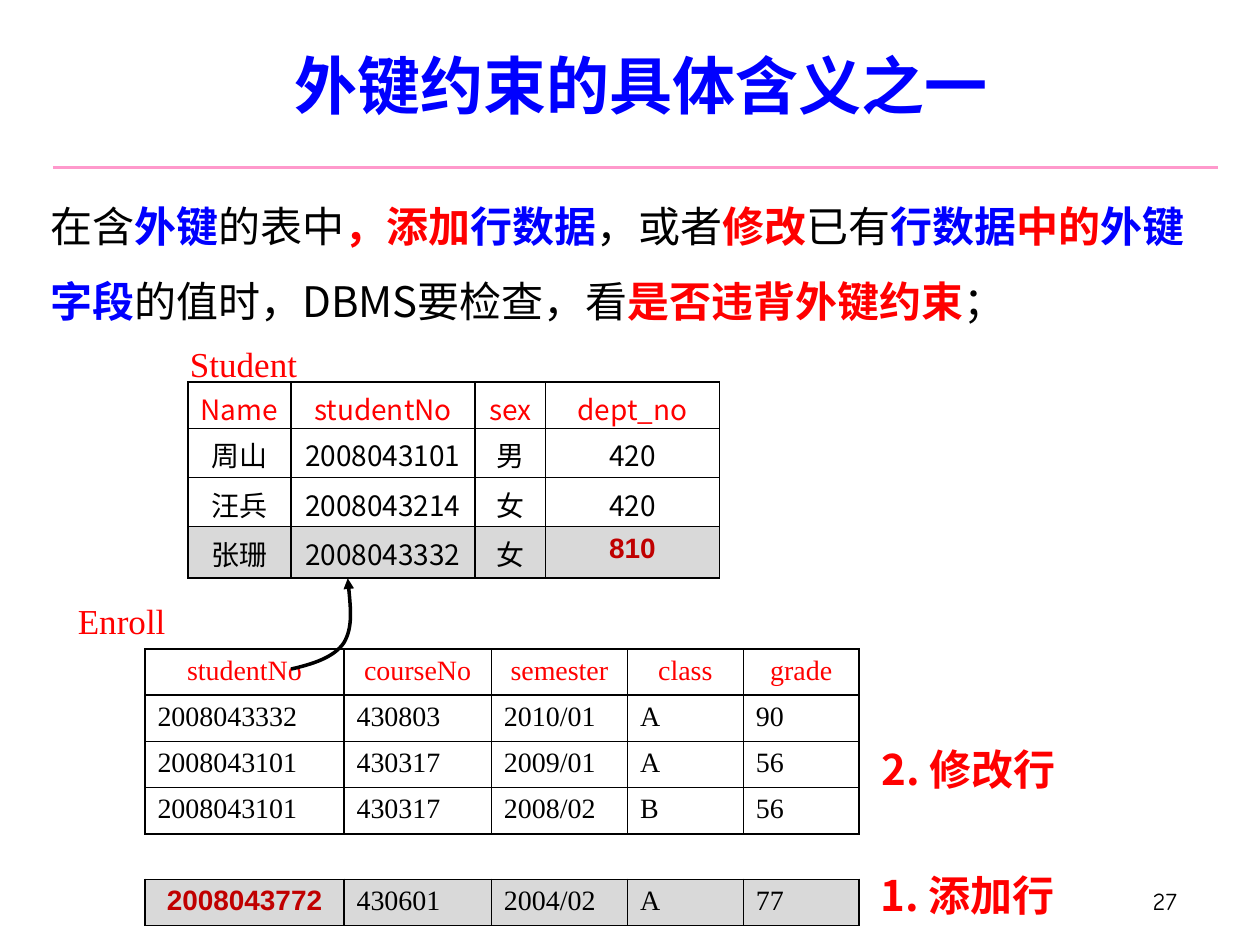
from lxml import etree
from pptx import Presentation
from pptx import util as u
from pptx.dml.color import RGBColor
from pptx.enum import shapes, text
from pptx.oxml.ns import qn

COLORS = {
    "blue": "0000FF", "red": "FF0000", "dark red": "C00000",
    "black": "000000", "pink": "FF99CC", "gray": "D9D9D9",
}
SANS, SERIF, BOLD_SANS = "Noto Sans CJK SC", "Times New Roman", "Arial"
LEFT, CENTER, RIGHT = text.PP_ALIGN.LEFT, text.PP_ALIGN.CENTER, text.PP_ALIGN.RIGHT
COLUMNS, ROWS = 100, 75
UNIT = u.Inches(0.1)  # one grid column or row
ENROLL_LEFT, ENROLL_ROW = 11.5, 3.67
ENROLL_COLUMNS = [15.8, 11.7, 10.8, 9.2, 9.2]

STUDENT = [
    ["Name", "studentNo", "sex", "dept_no"],
    ["周山", "2008043101", "男", "420"],
    ["汪兵", "2008043214", "女", "420"],
    ["张珊", "2008043332", "女", "810"],
]
ENROLL = [
    ["studentNo", "courseNo", "semester", "class", "grade"],
    ["2008043332", "430803", "2010/01", "A", "90"],
    ["2008043101", "430317", "2009/01", "A", "56"],
    ["2008043101", "430317", "2008/02", "B", "56"],
]
NEW_ROW = [["2008043772", "430601", "2004/02", "A", "77"]]
EXPLANATION = [
    ("在含", "black"), ("外键", "blue"), ("的表中", "black"),
    ("，添加", "red"), ("行数据", "blue"), ("，或者", "black"),
    ("修改", "red"), ("已有", "black"), ("行数据", "blue"),
    ("中的", "red"), ("外键字段", "blue"),
    ("的值时，DBMS要检查，看", "black"),
    ("是否违背外键约束", "red"), ("；", "black"),
]


def grid(*units):
    return [round(unit * UNIT) for unit in units]


def rgb(name):
    return RGBColor.from_string(COLORS[name])


def style_font(font, size, name, color, bold=False):
    font.size, font.name, font.bold = u.Pt(size), name, bold
    font.color.rgb = rgb(color)


def set_east_asian_font(paragraph, name):
    for tag in ("a:defRPr", "a:rPr"):
        for properties in paragraph._p.iter(qn(tag)):
            etree.SubElement(properties, qn("a:ea"), typeface=name)


def add_text(slide, box, words, size, font, color, bold=False,
             align=LEFT, anchor=text.MSO_ANCHOR.TOP, spacing=None):
    """Add a text box; words is a string or a list of (string, color) runs."""
    frame = slide.shapes.add_textbox(*grid(*box)).text_frame
    frame.word_wrap, frame.vertical_anchor = True, anchor
    paragraph = frame.paragraphs[0]
    paragraph.alignment = align
    if spacing:
        paragraph.line_spacing = spacing
        paragraph.space_after = u.Pt(6)
    if isinstance(words, str):
        paragraph.text = words
        style_font(paragraph.font, size, font, color, bold)
    else:
        for string, run_color in words:
            run = paragraph.add_run()
            run.text = string
            style_font(run.font, size, font, run_color, run_color != "black")
    set_east_asian_font(paragraph, font)


def add_borders(cell):
    properties = cell._tc.get_or_add_tcPr()
    for side in ("a:lnL", "a:lnR", "a:lnT", "a:lnB"):
        line = etree.SubElement(properties, qn(side), w=str(u.Pt(1)))
        fill = etree.SubElement(line, qn("a:solidFill"))
        etree.SubElement(fill, qn("a:srgbClr"), val=COLORS["black"])


def add_table(slide, left, top, widths, heights, rows, font, align,
              header=True, gray_row=None, invalid=None, inset=None):
    """Add a bordered table; invalid is the (row, column) of the offending key."""
    frame = slide.shapes.add_table(
        len(rows), len(widths), *grid(left, top, sum(widths), sum(heights)))
    table = frame.table
    table.first_row = table.horz_banding = False
    for column, width in zip(table.columns, grid(*widths)):
        column.width = width
    for row, height in zip(table.rows, grid(*heights)):
        row.height = height
    for i, values in enumerate(rows):
        for j, value in enumerate(values):
            cell = table.cell(i, j)
            is_header, is_invalid = header and i == 0, (i, j) == invalid
            if inset is not None:
                cell.margin_left = cell.margin_right = inset
            add_borders(cell)
            if i == gray_row:
                cell.fill.solid()
                cell.fill.fore_color.rgb = rgb("gray")
            else:
                cell.fill.background()
            paragraph = cell.text_frame.paragraphs[0]
            paragraph.text = value
            paragraph.alignment = CENTER if is_header or is_invalid else align
            name = BOLD_SANS if is_invalid else font
            color = "dark red" if is_invalid else "red" if is_header else "black"
            style_font(paragraph.font, 16, name, color, is_invalid)
            set_east_asian_font(paragraph, name)


def add_rule(slide, left, right, top):
    rule = slide.shapes.add_connector(
        shapes.MSO_CONNECTOR.STRAIGHT, *grid(left, top, right, top))
    rule.line.color.rgb, rule.line.width = rgb("pink"), u.Pt(1.5)
    etree.SubElement(rule._element.spPr, qn("a:effectLst"))


def add_curved_arrow(slide, start, *points):
    """Add an arrow of Bezier curves, three points to each curve."""
    builder = slide.shapes.build_freeform(*grid(*start))
    builder.add_line_segments([grid(*point) for point in points], close=False)
    arrow = builder.convert_to_shape()
    arrow.shadow.inherit = False
    arrow.fill.background()
    arrow.line.color.rgb, arrow.line.width = rgb("black"), u.Pt(2)
    etree.SubElement(arrow.line._get_or_add_ln(), qn("a:tailEnd"), type="triangle")
    segments = list(arrow._element.iter(qn("a:lnTo")))
    for first in range(0, len(segments), 3):
        curve = etree.Element(qn("a:cubicBezTo"))
        segments[first].addprevious(curve)
        for segment in segments[first:first + 3]:
            curve.append(segment[0])
            segment.getparent().remove(segment)


def main():
    presentation = Presentation()
    presentation.slide_width, presentation.slide_height = grid(COLUMNS, ROWS)
    slide = presentation.slides.add_slide(presentation.slide_layouts[6])

    add_rule(slide, 4.2, 96.7, 13.3)
    add_text(slide, (73.6, 69.8, 20.8, 5), "27", 14, "Comic Neue", "black",
             align=RIGHT)
    add_text(slide, (1.6, 3.2, 98.6, 7.1), "外键约束的具体含义之一", 36, SANS,
             "blue", bold=True, align=CENTER)
    add_text(slide, (3, 13.4, 93.9, 13.1), EXPLANATION, 24, SANS, "black",
             spacing=1.5)

    for left, top, label in ((14.1, 26.7, "Student"), (5.2, 47.1, "Enroll")):
        add_text(slide, (left, top, 18.3, 4.3), label, 20, SERIF, "red",
                 anchor=text.MSO_ANCHOR.MIDDLE)
    add_table(slide, 14.9, 30.3, [8.2, 14.6, 5.6, 13.8], [3.7, 3.9, 3.9, 4.1],
              STUDENT, SANS, CENTER, gray_row=3, invalid=(3, 3), inset=0)
    add_table(slide, ENROLL_LEFT, 51.5, ENROLL_COLUMNS,
              [ENROLL_ROW] * len(ENROLL), ENROLL, SERIF, LEFT)
    add_table(slide, ENROLL_LEFT, 69.8, ENROLL_COLUMNS, [ENROLL_ROW], NEW_ROW,
              SERIF, LEFT, header=False, gray_row=0, invalid=(0, 0))
    add_curved_arrow(slide, (23.1, 53.1),
                     (24.8, 52.7), (26.5, 52.2), (27.3, 51),
                     (28, 49.8), (27.8, 47.9), (27.6, 45.9))

    for left, top, step in ((68.9, 66.5, "1. 添加行"), (69, 56.5, "2. 修改行")):
        add_text(slide, (left, top, 17.4, 7.1), step, 24, SANS, "red",
                 bold=True, spacing=1.5)

    presentation.save("out.pptx")


if __name__ == "__main__":
    main()
